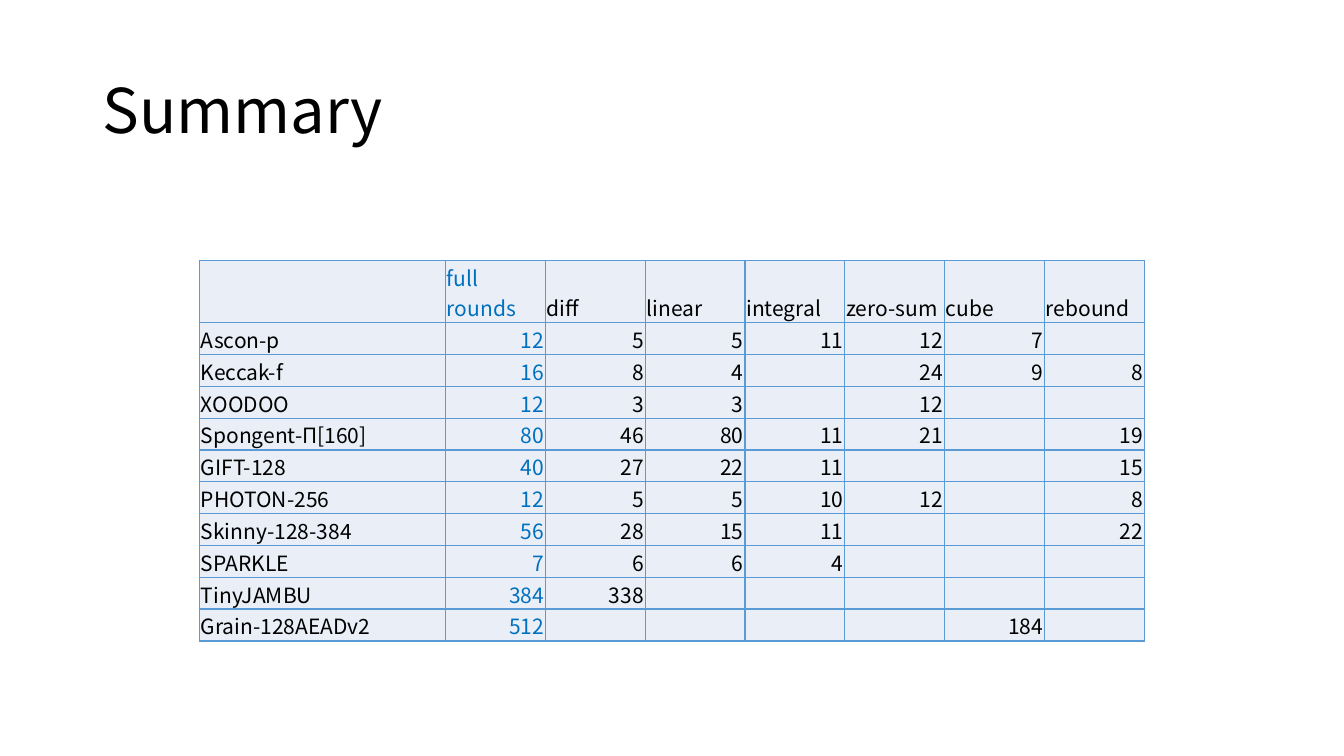
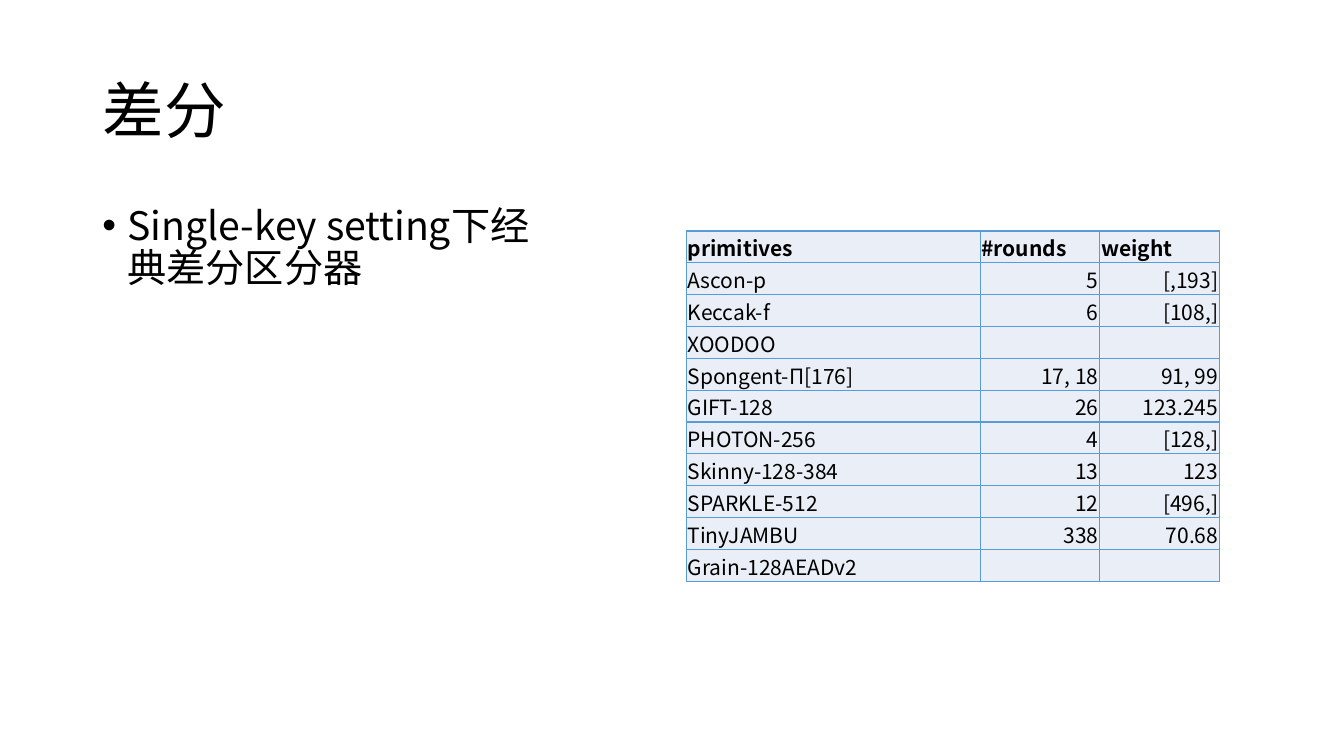
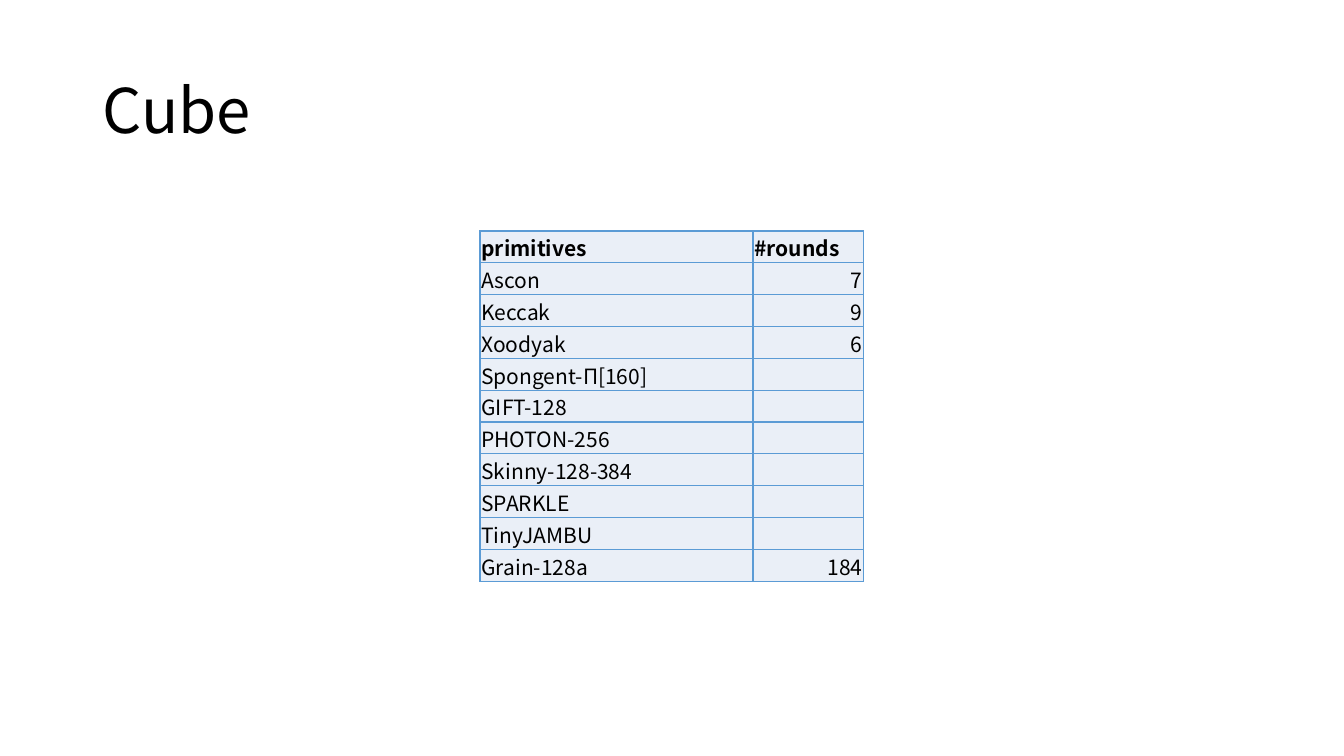
from pptx import Presentation
from pptx.dml.color import RGBColor
from pptx.enum.text import MSO_ANCHOR as Anchor, PP_ALIGN as Align
from pptx.oxml.ns import qn
from pptx.util import Emu, Inches, Pt
from lxml.etree import SubElement as Sub

# Shared look
FONT = "Noto Sans CJK SC"
INK, BLUE, EDGE, PALE = "000000", "0070C0", "5B9BD5", "EAEFF7"
CELL = {"margin_left": Pt(1), "margin_right": Pt(1),
        "margin_top": Pt(1), "margin_bottom": 0,
        "vertical_anchor": Anchor.BOTTOM}

# Grid of 160 columns by 90 rows
WIDE, HIGH = Inches(13.333), Inches(7.5)
HEAD = (11, 4.8, 138, 17.4)
NOTE = (11, 24, 55.2, 57.1)
ROW = 3.79  # height of a table row

# Table contents: one row a line, cells split by bars
SUMMARY = """\
|full rounds|diff|linear|integral|zero-sum|cube|rebound
Ascon-p|12|5|5|11|12|7|
Keccak-f|16|8|4||24|9|8
XOODOO|12|3|3||12||
Spongent-Π[160]|80|46|80|11|21||19
GIFT-128|40|27|22|11|||15
PHOTON-256|12|5|5|10|12||8
Skinny-128-384|56|28|15|11|||22
SPARKLE|7|6|6|4|||
TinyJAMBU|384|338|||||
Grain-128AEADv2|512|||||184|"""

DIFF = """\
primitives|#rounds|weight
Ascon-p|5|[,193]
Keccak-f|6|[108,]
XOODOO||
Spongent-Π[176]|17, 18|91, 99
GIFT-128|26|123.245
PHOTON-256|4|[128,]
Skinny-128-384|13|123
SPARKLE-512|12|[496,]
TinyJAMBU|338|70.68
Grain-128AEADv2||"""

CUBE = """\
primitives|#rounds
Ascon|7
Keccak|9
Xoodyak|6
Spongent-Π[160]|
GIFT-128|
PHOTON-256|
Skinny-128-384|
SPARKLE|
TinyJAMBU|
Grain-128a|184"""


def color(code):
    return RGBColor.from_string(code)


def place(box):
    left, top, width, height = box
    return [Emu(int(n)) for n in (left * WIDE / 160, top * HIGH / 90,
                                  width * WIDE / 160, height * HIGH / 90)]


def assign(item, values):
    for key, value in values.items():
        setattr(item, key, value)


def write(para, text, size, ink=INK, bold=False, **form):
    """Fill a paragraph with one run in the shared font."""
    assign(para, form)
    if not text:
        # An empty cell keeps the text size, so its row stays low
        end = Sub(para._p, qn("a:endParaRPr"), sz=str(size * 100))
        for tag in ("a:latin", "a:ea"):
            Sub(end, qn(tag), typeface=FONT)
        return
    run = para.add_run()
    run.text = text
    assign(run.font, {"name": FONT, "size": Pt(size), "bold": bold})
    run.font.color.rgb = color(ink)
    Sub(run._r.get_or_add_rPr(), qn("a:ea"), typeface=FONT)


def titled(deck, text):
    """Add a slide with its title."""
    slide = deck.slides.add_slide(deck.slide_layouts[5])
    title = slide.shapes.title
    assign(title, dict(zip(("left", "top", "width", "height"), place(HEAD))))
    title.text_frame.vertical_anchor = Anchor.MIDDLE
    write(title.text_frame.paragraphs[0], text, 44,
          alignment=Align.LEFT, line_spacing=0.9)
    return slide


def bullet(slide, box, text):
    frame = slide.shapes.add_textbox(*place(box)).text_frame
    frame.word_wrap = True
    para = frame.paragraphs[0]
    write(para, text, 28, line_spacing=0.9, space_before=Pt(10))
    props = para._p.get_or_add_pPr()
    props.set("marL", str(Inches(0.25)))
    props.set("indent", str(-Inches(0.25)))
    Sub(props, qn("a:buFont"), typeface="Arial")
    Sub(props, qn("a:buChar"), char="•")


def border(cell):
    props = cell._tc.get_or_add_tcPr()
    for side in "LRTB":
        line = Sub(props, qn(f"a:ln{side}"), w=str(Pt(1)))
        Sub(Sub(line, qn("a:solidFill")), qn("a:srgbClr"), val=EDGE)


def grid(slide, left, top, width, shares, data, bold=True, accent=None):
    """Draw a table; shares are column widths, accent is a blue column."""
    rows = [line.split("|") for line in data.splitlines()]
    spot = place((left, top, width, ROW * len(rows)))
    table = slide.shapes.add_table(len(rows), len(shares), *spot).table
    assign(table, {"first_row": False, "horz_banding": False})
    for col, share in zip(table.columns, shares):
        col.width = int(spot[2] * share / sum(shares))
    for r, row in enumerate(rows):
        for c, text in enumerate(row):
            cell = table.cell(r, c)
            assign(cell, CELL)
            border(cell)
            cell.fill.solid()
            cell.fill.fore_color.rgb = color(PALE)
            write(cell.text_frame.paragraphs[0], text, 15,
                  BLUE if c == accent else INK, bold and r == 0,
                  alignment=Align.RIGHT if r and c else Align.LEFT)


def main():
    deck = Presentation()
    assign(deck, {"slide_width": WIDE, "slide_height": HIGH})

    # Summary of all attacks
    grid(titled(deck, "Summary"), 23.75, 31, 112.5,
         [2.44] + [0.99] * 7, SUMMARY, bold=False, accent=1)

    # Differential attacks
    slide = titled(deck, "差分")
    bullet(slide, NOTE, "Single-key setting下经典差分区分器")
    grid(slide, 81.7, 27.5, 63.5, [2.92, 1.19, 1.19], DIFF)

    # Cube attacks
    grid(titled(deck, "Cube"), 57.15, 27.5, 45.7, [2.71, 1.1], CUBE)

    deck.save("out.pptx")


if __name__ == "__main__":
    main()
